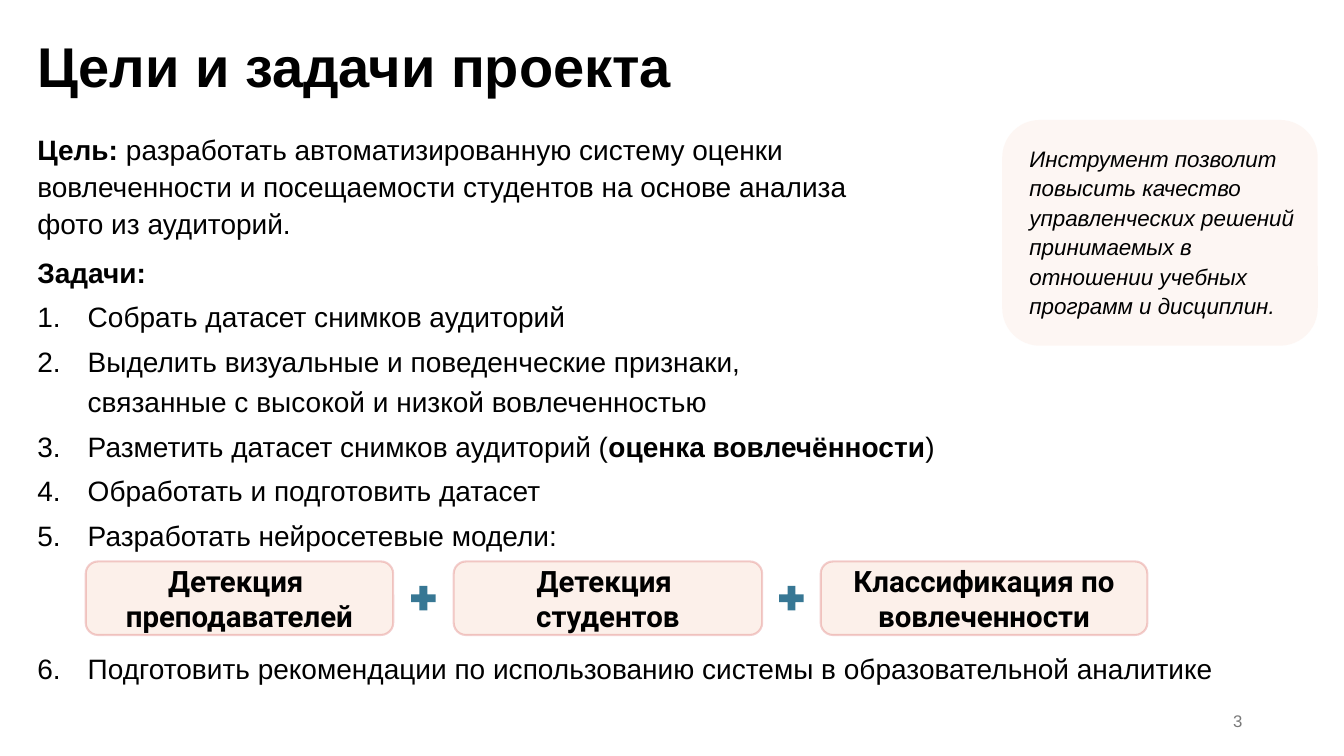
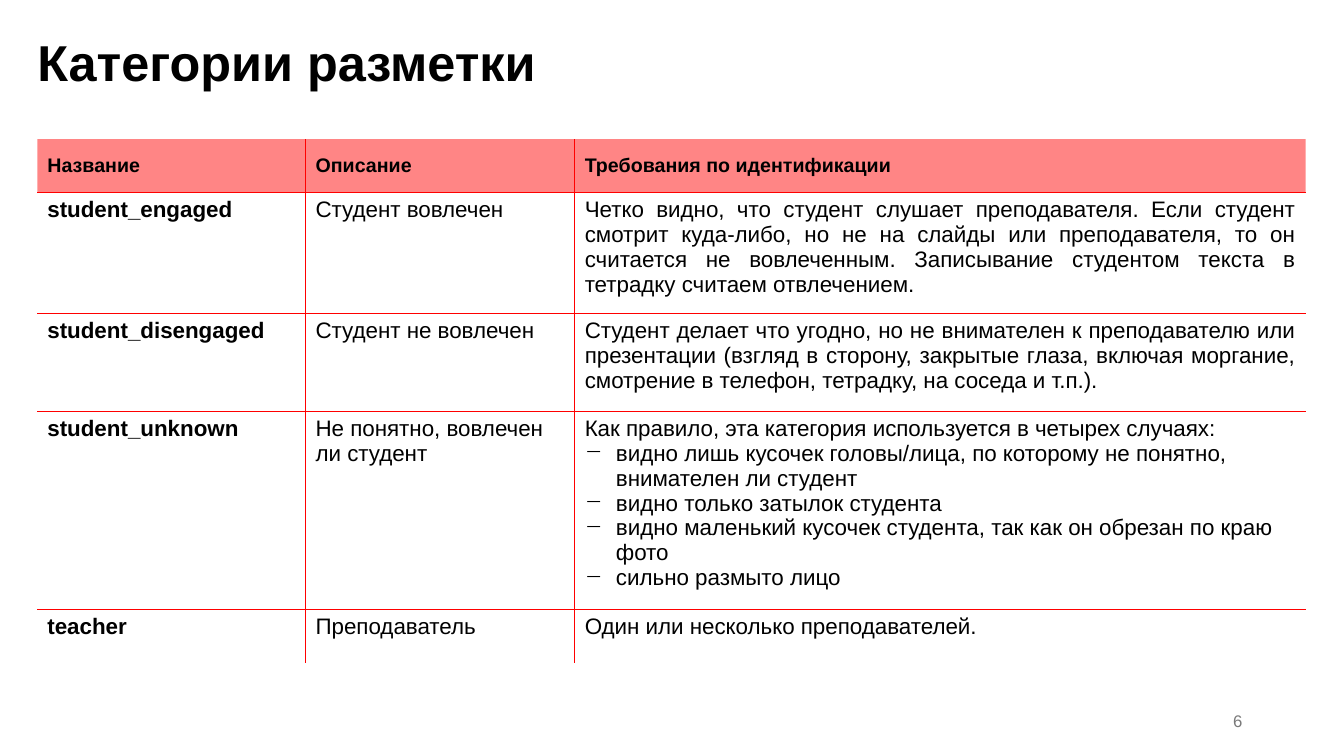
"""Build two slides on project goals and labelling categories."""
from lxml import etree
from pptx import Presentation
from pptx.dml.color import RGBColor
from pptx.enum.shapes import MSO_SHAPE
from pptx.enum.text import MSO_ANCHOR, PP_ALIGN
from pptx.oxml.ns import qn
from pptx.util import Inches, Pt

ROUND, PLUS = MSO_SHAPE.ROUNDED_RECTANGLE, MSO_SHAPE.MATH_PLUS
LEFT, CENTER, RIGHT, JUST = PP_ALIGN.LEFT, PP_ALIGN.CENTER, PP_ALIGN.RIGHT, PP_ALIGN.JUSTIFY
TOP, MIDDLE = MSO_ANCHOR.TOP, MSO_ANCHOR.MIDDLE

COLORS = {"text": "000000", "page": "797979", "note": "F6C6AD", "model": "F2AA84",
          "edge": "C00000", "plus": "156082", "head": "FF0000", "rule": "FF0000",
          "cell": "FFFFFF"}
MARGIN = 0.37
PAD = (0.1, 0.05)

GOAL = ("**Цель: **разработать автоматизированную систему оценки вовлеченности "
        "и посещаемости студентов на основе анализа фото из аудиторий.")
NOTE = ("Инструмент позволит повысить качество управленческих решений "
        "принимаемых в отношении учебных программ и дисциплин.")
TASKS = [
    "Собрать датасет снимков аудиторий",
    "Выделить визуальные и поведенческие признаки, \n"
    "связанные с высокой и низкой вовлеченностью",
    "Разметить датасет снимков аудиторий (**оценка вовлечённости**)",
    "Обработать и подготовить датасет",
    "Разработать нейросетевые модели:",
    "Подготовить рекомендации по использованию системы в образовательной аналитике",
]
MODELS = [
    (0.85, 3.05, "Детекция \nпреподавателей"),
    (4.5, 3.06, "Детекция \nстудентов"),
    (8.14, 3.24, "Классификация по вовлеченности"),
]
HEADS = ["Название", "Описание", "Требования по идентификации"]
ROWS = [
    ("student_engaged", "Студент вовлечен",
     ["Четко видно, что студент слушает преподавателя. Если студент смотрит "
      "куда-либо, но не на слайды или преподавателя, то он считается не вовлеченным. "
      "Записывание студентом текста в тетрадку считаем отвлечением."]),
    ("student_disengaged", "Студент не вовлечен",
     ["Студент делает что угодно, но не внимателен к преподавателю или презентации "
      "(взгляд в сторону, закрытые глаза, включая моргание, смотрение в телефон, "
      "тетрадку, на соседа и т.п.)."]),
    ("student_unknown", "Не понятно, вовлечен ли студент",
     ["Как правило, эта категория используется в четырех случаях:",
      "видно лишь кусочек головы/лица, по которому не понятно, внимателен ли студент",
      "видно только затылок студента",
      "видно маленький кусочек студента, так как он обрезан по краю фото",
      "сильно размыто лицо"]),
    ("teacher", "Преподаватель", ["Один или несколько преподавателей."]),
]
WIDTHS = [2.66, 2.67, 7.25]
HEIGHTS = [0.53, 1.2, 0.97, 1.95, 0.53]


def rgb(name):
    return RGBColor.from_string(COLORS[name])


def fade(node, share):
    color = node.find(".//" + qn("a:srgbClr"))
    etree.SubElement(color, qn("a:alpha"), val=str(share * 1000))


def bullet(para, mark, indent):
    props = para._p.get_or_add_pPr()
    props.set("marL", str(Inches(indent)))
    props.set("indent", str(-Inches(indent)))
    if mark == "1.":
        etree.SubElement(props, qn("a:buAutoNum"), type="arabicPeriod")
    else:
        etree.SubElement(props, qn("a:buChar"), char=mark)


def write(frame, text, size=20, color="text", font="Arial", bold=False, italic=False,
          align=LEFT, spacing=None, before=0, mark=None, indent=0, more=False):
    para = frame.add_paragraph() if more else frame.paragraphs[0]
    if mark:
        bullet(para, mark, indent)
    para.alignment = align
    if spacing:
        para.line_spacing = spacing
    if before:
        para.space_before = Pt(before)
    for order, part in enumerate(text.split("**")):
        for row, line in enumerate(part.split("\n") if part else []):
            if row:
                para.add_line_break()
            run = para.add_run()
            run.text = line
            run.font.size, run.font.name = Pt(size), font
            run.font.bold, run.font.italic = bold or order % 2 == 1, italic
            run.font.color.rgb = rgb(color)


def box(slide, x, y, w, h, pad=(0, 0), anchor=TOP, wrap=True):
    frame = slide.shapes.add_textbox(*map(Inches, (x, y, w, h))).text_frame
    frame.margin_left = frame.margin_right = Inches(pad[0])
    frame.margin_top = frame.margin_bottom = Inches(pad[1])
    frame.vertical_anchor, frame.word_wrap = anchor, wrap
    return frame


def shape(slide, kind, x, y, w, h, fill, share, edge=None):
    item = slide.shapes.add_shape(kind, *map(Inches, (x, y, w, h)))
    item.shadow.inherit = False
    item.fill.solid()
    item.fill.fore_color.rgb = rgb(fill)
    fade(item.element.spPr, share)
    if edge:
        item.line.color.rgb, item.line.width = rgb(edge), Pt(1.5)
        fade(item.element.spPr.find(qn("a:ln")), 19)
    else:
        item.line.fill.background()
    return item


def page(deck, title, number, size):
    slide = deck.slides.add_slide(deck.slide_layouts[6])
    write(box(slide, MARGIN, 0.31, 6.45, size / 60, wrap=False), title, size=size, bold=True)
    write(box(slide, 9.42, 6.95, 3, 0.4, pad=PAD, anchor=MIDDLE), number,
          size=12, color="page", align=RIGHT)
    return slide


def border(cell, sides):
    props = cell._tc.get_or_add_tcPr()
    for side in ("L", "R", "T", "B"):
        line = etree.SubElement(props, qn("a:ln" + side), w=str(Pt(1)))
        if side in sides:
            fill = etree.SubElement(line, qn("a:solidFill"))
            etree.SubElement(fill, qn("a:srgbClr"), val=COLORS["rule"])
        else:
            etree.SubElement(line, qn("a:noFill"))


def goals(deck):
    slide = page(deck, "Цели и задачи проекта", "3", 40)
    shape(slide, ROUND, 9.94, 1.19, 3.13, 2.24, "note", 14)
    write(box(slide, MARGIN, 1.28, 8.26, 1.08), GOAL, spacing=1.1)
    write(box(slide, 10.21, 1.41, 2.85, 1.75), NOTE, size=16, italic=True, spacing=1.1)
    frame = box(slide, MARGIN, 2.5, 12.89, 4.3)
    write(frame, "Задачи:", bold=True, spacing=1.1)
    for task in TASKS:
        write(frame, task, spacing=1.2, before=66.5 if task == TASKS[-1] else 3,
              mark="1.", indent=0.5, more=True)
    for x, w, name in MODELS:
        item = shape(slide, ROUND, x, 5.57, w, 0.73, "model", 17, edge="edge")
        item.text_frame.vertical_anchor = MIDDLE
        write(item.text_frame, name, size=21, font="Roboto", bold=True, align=CENTER)
    for (x, w, _), (after, _, _) in zip(MODELS, MODELS[1:]):
        shape(slide, PLUS, (x + w + after - 0.33) / 2, 5.77, 0.33, 0.33, "plus", 85)


def labels(deck):
    slide = page(deck, "Категории разметки", "6", 36)
    grid = slide.shapes.add_table(len(HEIGHTS), len(WIDTHS), Inches(MARGIN), Inches(1.38),
                                  Inches(sum(WIDTHS)), Inches(sum(HEIGHTS))).table
    grid.first_row = grid.horz_banding = False
    for col, width in zip(grid.columns, WIDTHS):
        col.width = Inches(width)
    for row, height in zip(grid.rows, HEIGHTS):
        row.height = Inches(height)
    last = len(HEIGHTS) - 1, len(WIDTHS) - 1
    for r, row in enumerate([HEADS, *ROWS]):
        for c, text in enumerate(row):
            cell = grid.cell(r, c)
            sides = {"L": c > 0, "R": c < last[1], "T": r > 0, "B": r < last[0]}
            border(cell, [side for side, shown in sides.items() if shown])
            cell.fill.solid()
            cell.fill.fore_color.rgb = rgb("cell" if r else "head")
            if r == 0:
                fade(cell._tc.tcPr.find(qn("a:solidFill")), 48)
                cell.vertical_anchor = MIDDLE
            lines = text if isinstance(text, list) else [text]
            for n, line in enumerate(lines):
                write(cell.text_frame, line, size=16 if r else 14, bold=r == 0 or c == 0,
                      align=JUST if r and c == 2 and len(lines) == 1 else LEFT,
                      mark="−" if n else None, indent=0.31, more=n > 0)


def main():
    deck = Presentation()
    deck.slide_width, deck.slide_height = Inches(13.33), Inches(7.5)
    goals(deck)
    labels(deck)
    deck.save("out.pptx")


if __name__ == "__main__":
    main()
